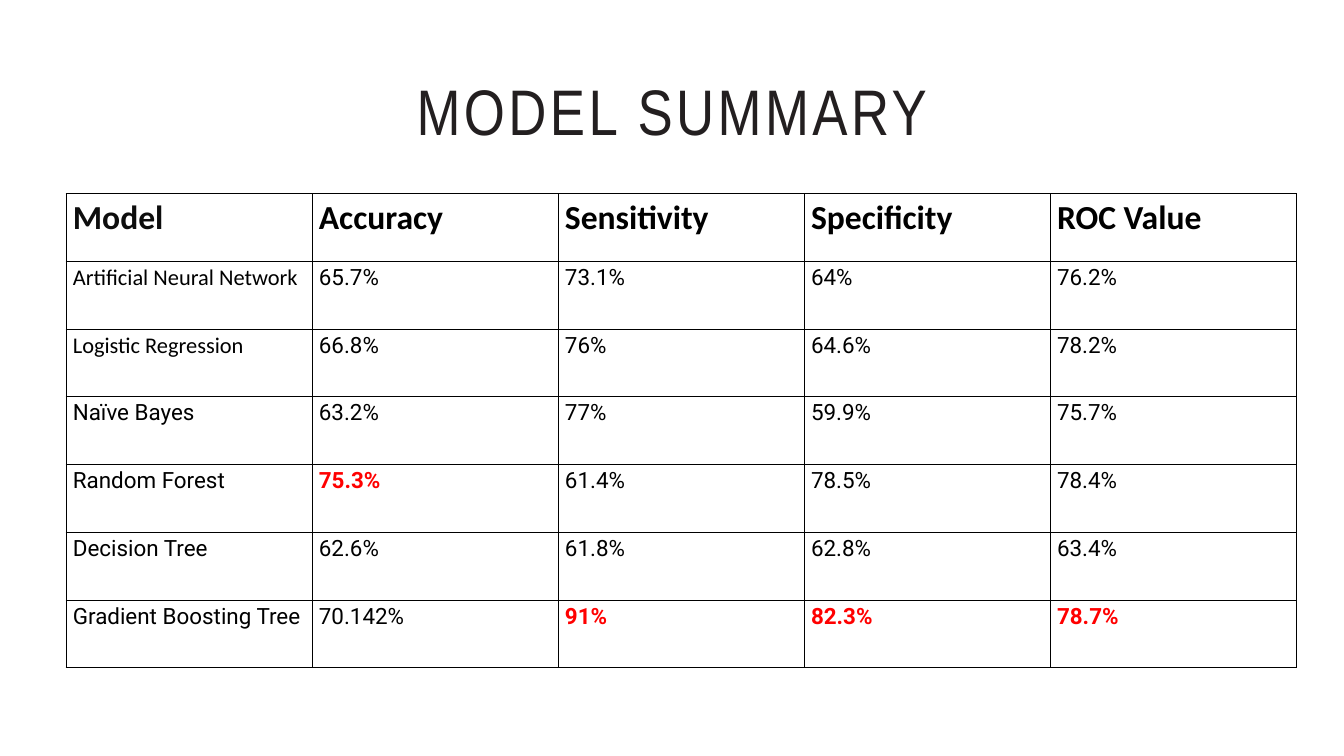
"""Build the model summary slide: a title above a table of model scores."""
from dataclasses import dataclass

from lxml import etree
from pptx import Presentation
from pptx.dml.color import RGBColor
from pptx.enum.text import MSO_AUTO_SIZE, PP_ALIGN
from pptx.oxml.ns import qn
from pptx.slide import Slide
from pptx.table import Table, _Cell
from pptx.text.text import _Run
from pptx.util import Cm, Pt

CENTER = PP_ALIGN.CENTER
FIT_SHAPE = MSO_AUTO_SIZE.SHAPE_TO_FIT_TEXT


@dataclass(frozen=True)
class Theme:
    """Colours, fonts and sizes used on the slide."""
    title_color: str = "231F20"
    first_header: str = "0D0D0D"
    ink: str = "000000"
    best: str = "FF0000"
    paper: str = "FFFFFF"
    title_font: str = "Arial Narrow"
    label_font: str = "Calibri"
    value_font: str = "Roboto"
    title_size: float = 69
    title_leading: float = 95.9
    title_tracking: float = 3.7
    header_size: float = 36
    body_size: float = 24
    border: float = 1


@dataclass(frozen=True)
class ModelScore:
    """One model with its scores in column order."""
    name: str
    scores: tuple[str, ...]
    name_font: str


THEME = Theme()
HEADERS = ("Model", "Accuracy", "Sensitivity", "Specificity", "ROC Value")
MODELS = (
    ModelScore("Artificial Neural Network", ("65.7%", "73.1%", "64%", "76.2%"), THEME.label_font),
    ModelScore("Logistic Regression", ("66.8%", "76%", "64.6%", "78.2%"), THEME.label_font),
    ModelScore("Naïve Bayes", ("63.2%", "77%", "59.9%", "75.7%"), THEME.value_font),
    ModelScore("Random Forest", ("75.3%", "61.4%", "78.5%", "78.4%"), THEME.value_font),
    ModelScore("Decision Tree", ("62.6%", "61.8%", "62.8%", "63.4%"), THEME.value_font),
    ModelScore("Gradient Boosting Tree", ("70.142%", "91%", "82.3%", "78.7%"), THEME.value_font),
)
COL_WIDTH = Cm(9.3)
ROW_HEIGHT = Cm(2.56)


def style_run(r: _Run, font: str, size: float, color: str, bold: bool = False) -> None:
    """Set the font, size, colour and weight of a run."""
    r.font.name = font
    r.font.size = Pt(size)
    r.font.bold = bold
    r.font.color.rgb = RGBColor.from_string(color)


def add_title(s: Slide, text: str) -> None:
    """Add the centred, letter-spaced title."""
    tf = s.shapes.add_textbox(Cm(5.87), Cm(2.21), Cm(39.07), Cm(3.18)).text_frame
    tf.word_wrap = True
    tf.auto_size = FIT_SHAPE
    tf.margin_left = tf.margin_top = tf.margin_right = tf.margin_bottom = 0
    tf.text = text
    p = tf.paragraphs[0]
    p.alignment = CENTER
    p.line_spacing = Pt(THEME.title_leading)
    r = p.runs[0]
    style_run(r, THEME.title_font, THEME.title_size, THEME.title_color)
    r.font._element.set("spc", str(round(THEME.title_tracking * 100)))


def add_borders(cell: _Cell) -> None:
    """Draw a thin line on all four sides of a cell."""
    props = cell._tc.get_or_add_tcPr()
    for i, side in enumerate(("a:lnL", "a:lnR", "a:lnT", "a:lnB")):
        line = etree.Element(qn(side), w=str(Pt(THEME.border)))
        fill = etree.SubElement(line, qn("a:solidFill"))
        etree.SubElement(fill, qn("a:srgbClr"), val=THEME.ink)
        props.insert(i, line)


def fill_cell(cell: _Cell, text: str, font: str, size: float, color: str, bold: bool = False) -> None:
    """Write a cell's text and set its fill and borders."""
    cell.text = text
    style_run(cell.text_frame.paragraphs[0].runs[0], font, size, color, bold)
    cell.fill.solid()
    cell.fill.fore_color.rgb = RGBColor.from_string(THEME.paper)
    add_borders(cell)


def percent(text: str) -> float:
    """Return the number in a percentage label."""
    return float(text.rstrip("%"))


def fill_table(table: Table, headers: tuple[str, ...], models: tuple[ModelScore, ...]) -> None:
    """Fill the table, marking the best score of each column."""
    for col, header in enumerate(headers):
        color = THEME.ink if col else THEME.first_header
        fill_cell(table.cell(0, col), header, THEME.label_font, THEME.header_size, color, True)
    best = [max(column, key=percent) for column in zip(*(m.scores for m in models))]
    for row, model in enumerate(models, 1):
        fill_cell(table.cell(row, 0), model.name, model.name_font, THEME.body_size, THEME.ink)
        for col, score in enumerate(model.scores, 1):
            wins = score == best[col - 1]
            color = THEME.best if wins else THEME.ink
            fill_cell(table.cell(row, col), score, THEME.value_font, THEME.body_size, color, wins)


def add_score_table(s: Slide) -> None:
    """Add the table with equal columns and rows."""
    rows, cols = len(MODELS) + 1, len(HEADERS)
    frame = s.shapes.add_table(rows, cols, Cm(2.5), Cm(7.32), COL_WIDTH * cols, ROW_HEIGHT * rows)
    fill_table(frame.table, HEADERS, MODELS)


def main() -> None:
    """Build and save the slide."""
    prs = Presentation()
    prs.slide_width, prs.slide_height = Cm(50.8), Cm(28.58)
    s = prs.slides.add_slide(prs.slide_layouts[6])
    add_title(s, "MODEL SUMMARY")
    add_score_table(s)
    prs.save("out.pptx")


if __name__ == "__main__":
    main()
